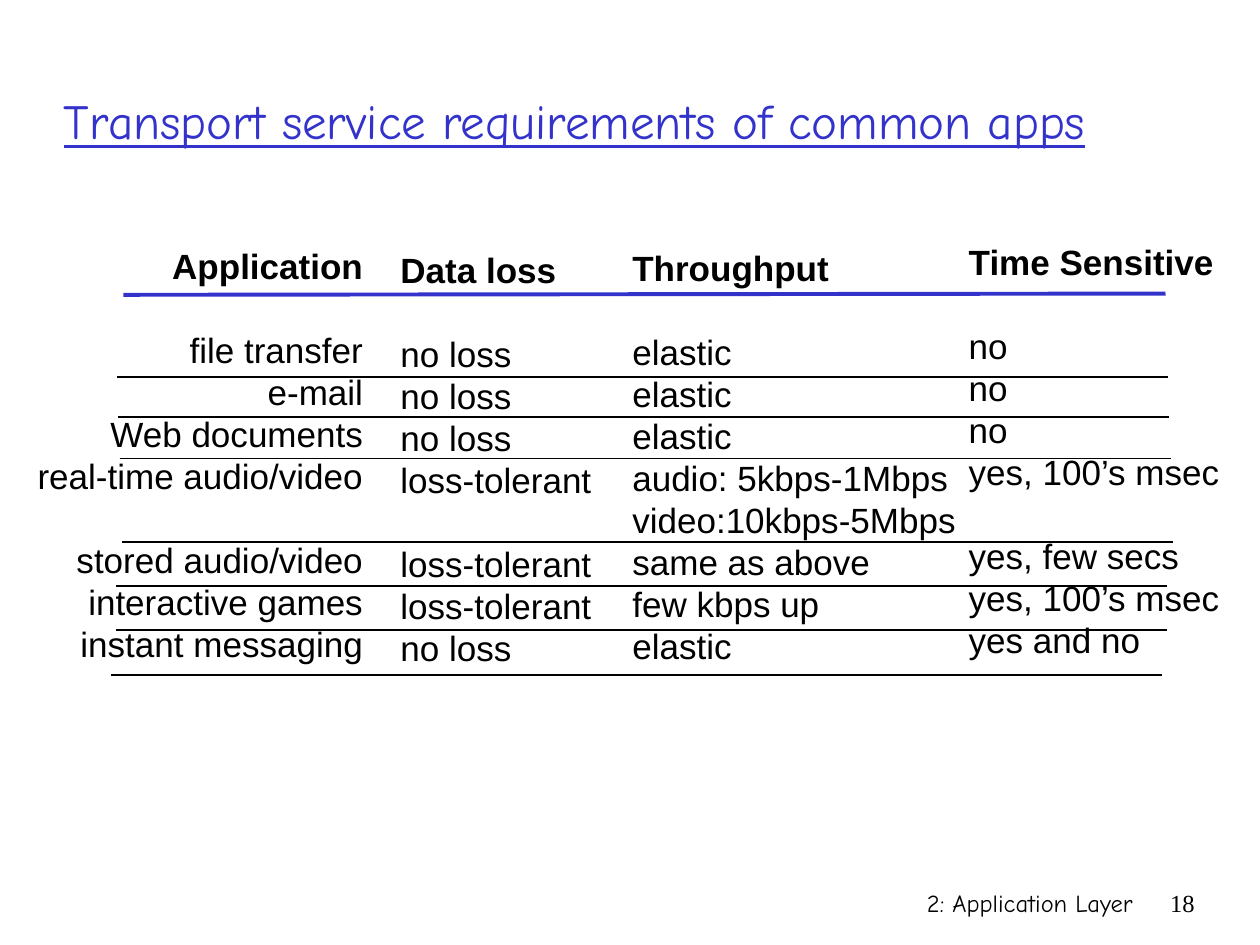
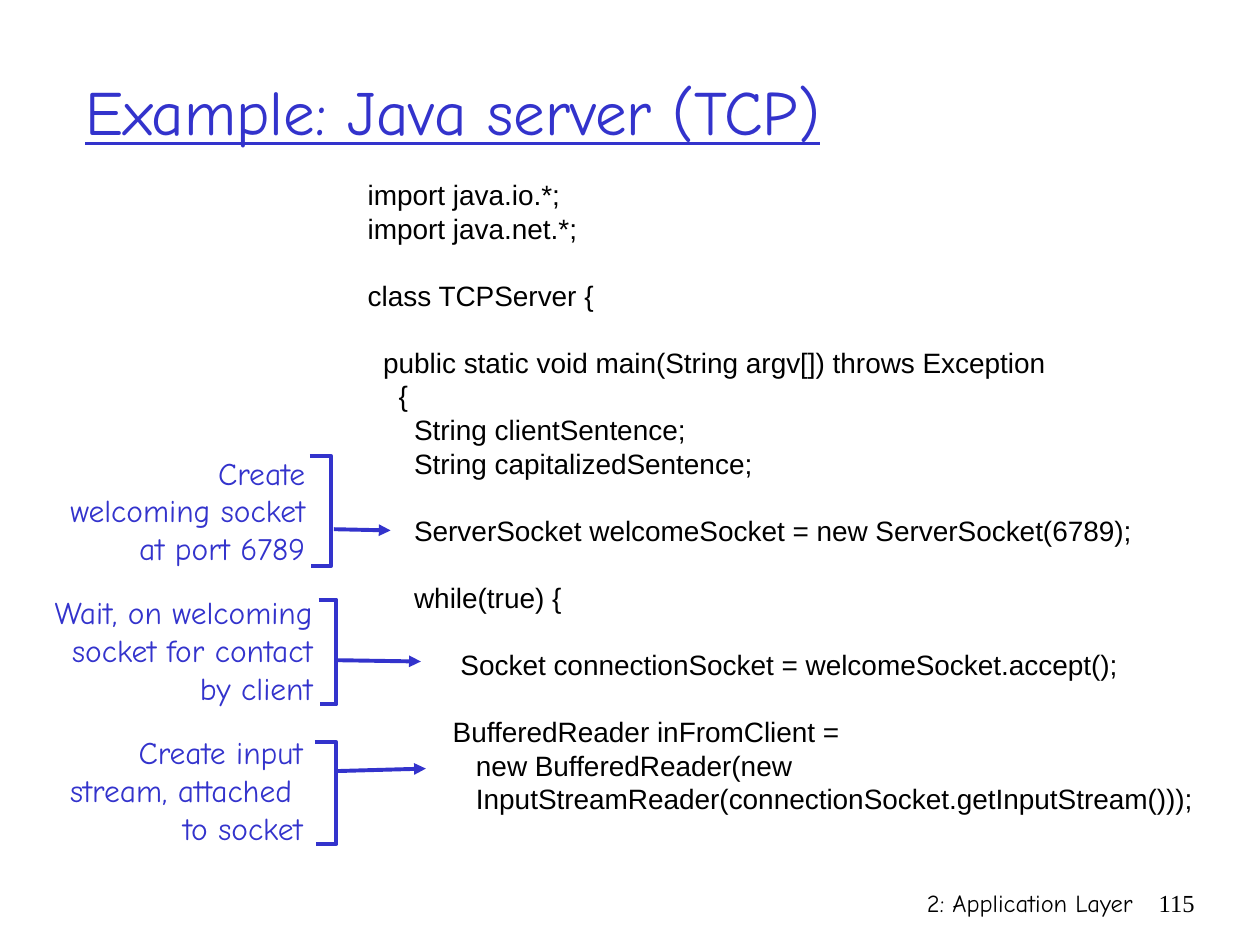
from lxml import etree
from pptx import Presentation
from pptx.dml.color import RGBColor
from pptx.enum.shapes import MSO_CONNECTOR as Connector
from pptx.enum.text import MSO_ANCHOR as Anchor, PP_ALIGN as Align
from pptx.oxml.ns import qn
from pptx.util import Inches, Pt

BLUE = RGBColor(0x33, 0x33, 0xCC)
BLACK = RGBColor(0x00, 0x00, 0x00)
HAND, SANS, SERIF = "Comic Neue", "Arial", "Times New Roman"
LEADING = 1.2

REQUIREMENTS = [
    (0.1, 1.89, 2.88, Align.RIGHT, [
        "Application", "", "file transfer", "e-mail", "Web documents",
        "real-time audio/video", "", "stored audio/video",
        "interactive games", "instant messaging"]),
    (3.08, 1.92, 1.8, Align.LEFT, [
        "Data loss", "", "no loss", "no loss", "no loss", "loss-tolerant",
        "", "loss-tolerant", "loss-tolerant", "no loss"]),
    (4.92, 1.91, 2.82, Align.LEFT, [
        "Throughput", "", "elastic", "elastic", "elastic",
        "audio: 5kbps-1Mbps", "video:10kbps-5Mbps", "same as above",
        "few kbps up", "elastic"]),
    (7.59, 1.86, 2.3, Align.LEFT, [
        "Time Sensitive", "", "no", "no", "no", "yes, 100’s msec", "",
        "yes, few secs", "yes, 100’s msec", "yes and no"]),
]
ROW_RULES = [(0.93, 2.99), (0.94, 3.31), (0.95, 3.64), (0.97, 4.3),
             (0.92, 4.65), (0.92, 5), (0.88, 5.36)]
RULE_LENGTH = 8.34

SERVER_CODE = """import java.io.*;
import java.net.*;

class TCPServer {

  public static void main(String argv[]) throws Exception
    {
      String clientSentence;
      String capitalizedSentence;

      ServerSocket welcomeSocket = new ServerSocket(6789);

      while(true) {

            Socket connectionSocket = welcomeSocket.accept();

           BufferedReader inFromClient =
              new BufferedReader(new
              InputStreamReader(connectionSocket.getInputStream()));"""

NOTE_LEFT = 0.2
NOTES = [
    (["Create", "welcoming socket", "at port 6789"], 3.55, 2.52,
     (2.46, 3.62, 2.63, 4.49), (2.65, 4.2, 3.1, 4.21)),
    (["Wait, on welcoming", "socket for contact", "by client"], 4.66, 2.58,
     (2.53, 4.76, 2.67, 5.59), (2.68, 5.24, 3.34, 5.25)),
    (["Create input", "stream, attached ", "to socket"], 5.77, 2.5,
     (2.5, 5.89, 2.67, 6.7), (2.67, 6.12, 3.38, 6.1)),
]


class Deck:
    def __init__(self):
        self.presentation = Presentation()
        self.presentation.slide_width = Inches(10)
        self.presentation.slide_height = Inches(7.5)
        self.slide = None

    def add_slide(self, title, number, left, top, width, size):
        layout = self.presentation.slide_layouts[6]
        self.slide = self.presentation.slides.add_slide(layout)
        self.text([title], left, top, width, 1.25, anchor=Anchor.MIDDLE,
                  name=HAND, size=size, color=BLUE, underline=True)
        self.text(["2: Application Layer"], 5.92, 7, 3.17, 0.5,
                  align=Align.RIGHT, name=HAND, size=14)
        self.text([number], 9.08, 7, 0.5, 0.5,
                  align=Align.RIGHT, name=SERIF, size=14)

    def text(self, lines, left, top, width, height, align=Align.LEFT,
             anchor=Anchor.TOP, color=BLACK, size=20, leading=None, **font):
        box = self.slide.shapes.add_textbox(
            Inches(left), Inches(top), Inches(width), Inches(height))
        frame = box.text_frame
        frame.word_wrap = True
        frame.vertical_anchor = anchor
        paragraph, gap = None, 0
        for line in lines:
            if not line:
                gap += size * LEADING
                continue
            paragraph = frame.add_paragraph() if paragraph else frame.paragraphs[0]
            paragraph.alignment = align
            if leading:
                paragraph.line_spacing = Pt(size * leading)
            if gap:
                paragraph.space_before = Pt(gap)
            gap = 0
            run = paragraph.add_run()
            run.text = line
            run.font.color.rgb = color
            for key, value in dict(font, size=Pt(size)).items():
                setattr(run.font, key, value)
        return frame

    def line(self, x1, y1, x2, y2, color=BLACK, width=1, arrow=False):
        connector = self.slide.shapes.add_connector(
            Connector.STRAIGHT, Inches(x1), Inches(y1), Inches(x2), Inches(y2))
        connector.line.color.rgb = color
        connector.line.width = Pt(width)
        if arrow:
            outline = connector.line._get_or_add_ln()
            etree.SubElement(outline, qn("a:tailEnd"), type="triangle")
        etree.SubElement(connector._element.spPr, qn("a:effectLst"))

    def bracket(self, left, top, right, bottom):
        builder = self.slide.shapes.build_freeform(Inches(left), Inches(top))
        corners = [(right, top), (right, bottom), (left + 0.01, bottom)]
        builder.add_line_segments(
            [(Inches(x), Inches(y)) for x, y in corners], close=False)
        shape = builder.convert_to_shape()
        shape.shadow.inherit = False
        shape.fill.background()
        shape.line.color.rgb = BLUE
        shape.line.width = Pt(2.25)


def add_requirements(deck):
    deck.add_slide("Transport service requirements of common apps", "18",
                   0.41, 0.33, 8.97, 28)
    for left, top, width, align, lines in REQUIREMENTS:
        frame = deck.text(lines, left, top, width, 3.44, align=align,
                          name=SANS, leading=LEADING)
        frame.paragraphs[0].runs[0].font.bold = True
    deck.line(0.98, 2.34, 9.25, 2.33, BLUE, 2.25)
    for left, y in ROW_RULES:
        deck.line(left, y, left + RULE_LENGTH, y)


def add_java_server(deck):
    deck.add_slide("Example: Java server (TCP)", "115", 0.58, 0.25, 8.5, 36)
    deck.text(SERVER_CODE.split("\n"), 2.82, 1.36, 6.9, 5.7,
              name=SANS, size=16, leading=LEADING)
    for lines, top, right, bracket, arrow in NOTES:
        deck.text(lines, NOTE_LEFT, top, right - NOTE_LEFT, 1,
                  align=Align.RIGHT, anchor=Anchor.MIDDLE, name=HAND,
                  size=18, color=BLUE, leading=LEADING)
        deck.bracket(*bracket)
        deck.line(*arrow, BLUE, 2.25, arrow=True)


def main():
    deck = Deck()
    add_requirements(deck)
    add_java_server(deck)
    deck.presentation.save("out.pptx")


if __name__ == "__main__":
    main()
